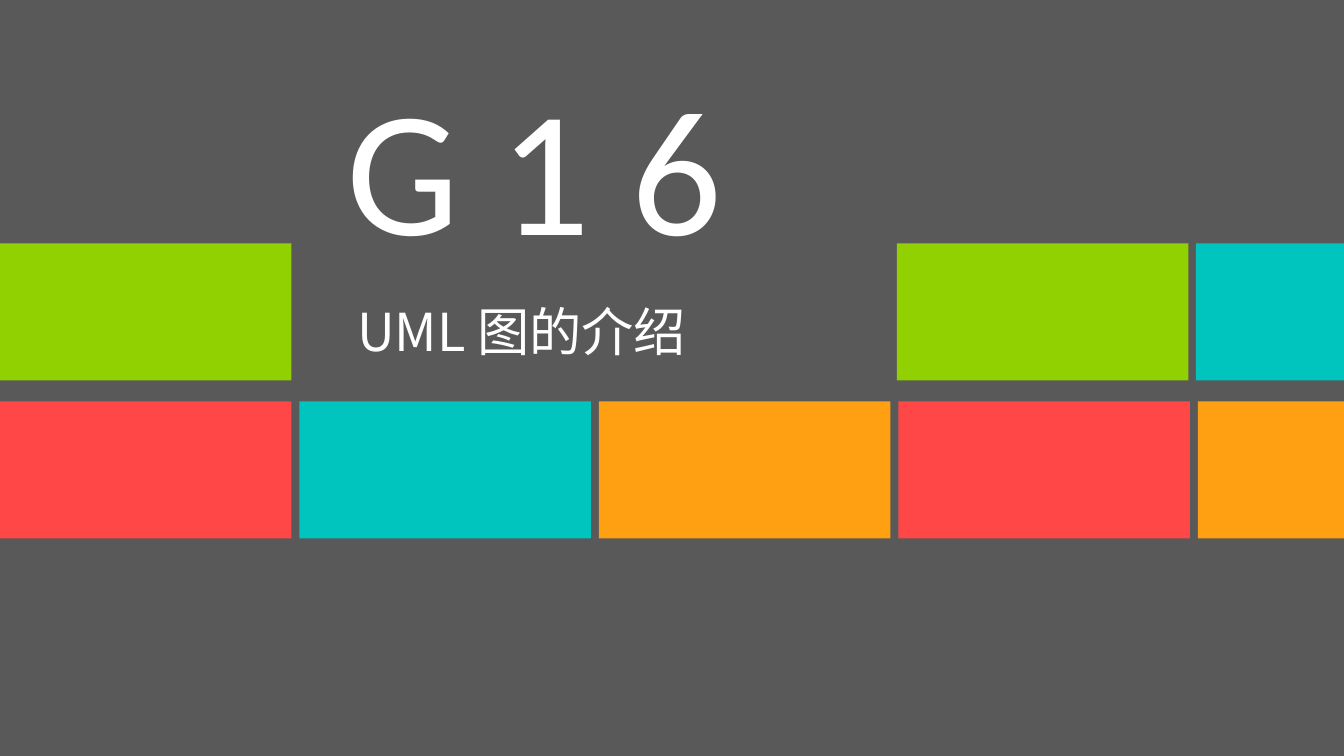
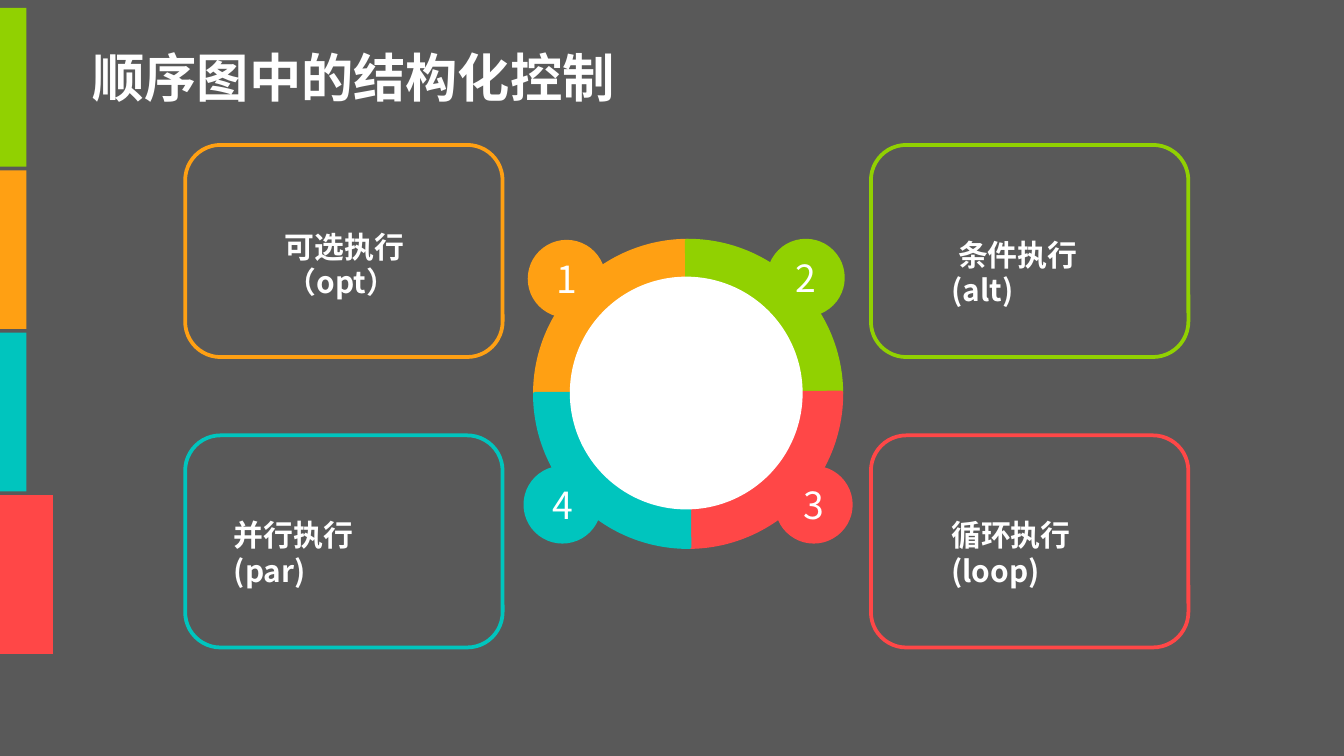
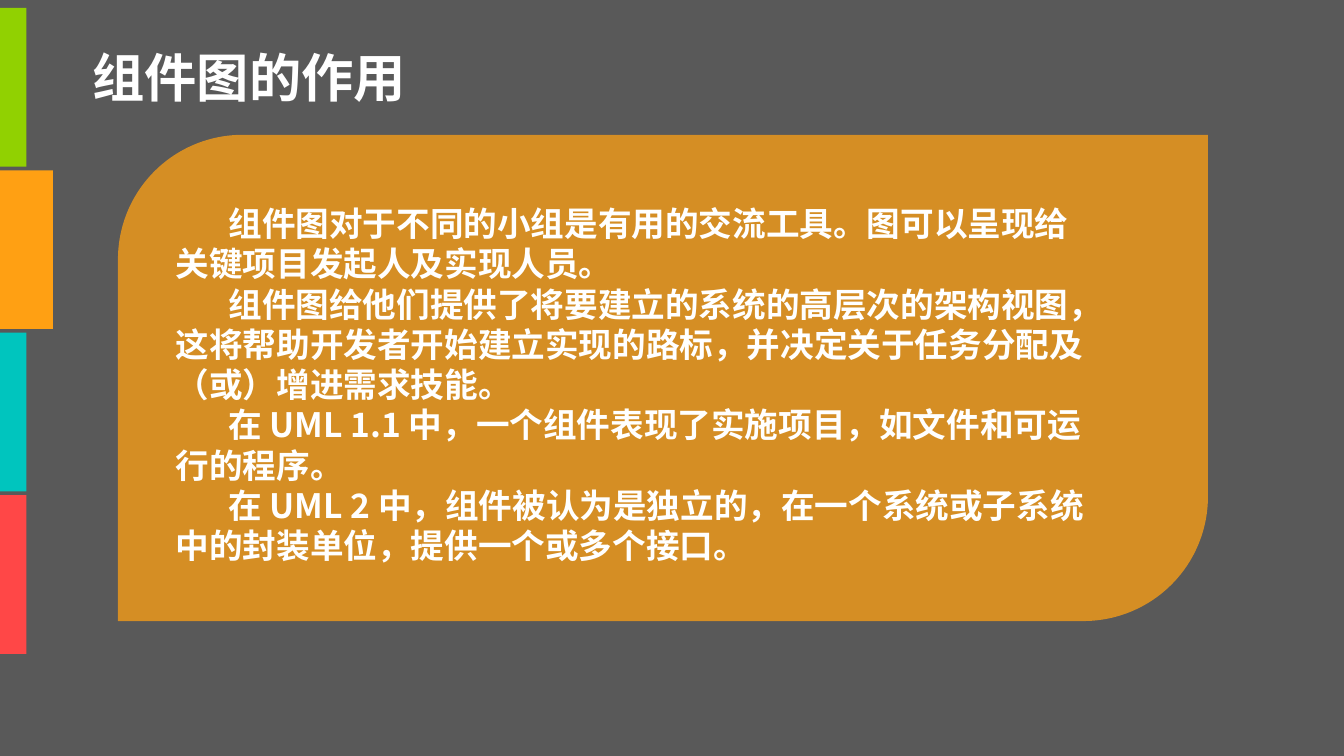
from dataclasses import dataclass

from lxml import etree
from pptx import Presentation
from pptx import util as u
from pptx.dml.color import RGBColor
from pptx.enum import shapes, text
from pptx.oxml.ns import qn

# Content (places and lengths in cm)
COVER = {
    "heading": "G 1 6",
    "topic": "UML 图的介绍",
    # top, column pitch, {column: colour}
    "tile_rows": [
        (4.6, 5.65, {0: "green", 3: "green", 4: "teal"}),
        (7.59, 5.66, {0: "red", 1: "teal", 2: "orange", 3: "red", 4: "orange"}),
    ],
}
CONTROLS_TITLE = "顺序图中的结构化控制"
# colour, card column and row, knob place, label place, label lines
CONTROLS = [
    ("orange", (0, 0), (10.01, 4.57), (3.91, 4.19), (" 可选执行", "（opt）")),
    ("green", (1, 0), (14.53, 4.55), (17.73, 4.34), (" 条件执行", "(alt)")),
    ("red", (1, 1), (14.68, 8.84), (17.73, 9.65), ("循环执行", "(loop)")),
    ("teal", (0, 1), (9.93, 8.84), (4.17, 9.65), ("并行执行", "(par)")),
]
PURPOSE_TITLE = "组件图的作用"
PURPOSES = [
    "组件图对于不同的小组是有用的交流工具。图可以呈现给关键项目发起人及实现人员。",
    "组件图给他们提供了将要建立的系统的高层次的架构视图，这将帮助开发者开始建立实现的路标，并决定关于任务分配及（或）增进需求技能。",
    "在 UML 1.1 中，一个组件表现了实施项目，如文件和可运行的程序。",
    "在 UML 2 中，组件被认为是独立的，在一个系统或子系统中的封装单位，提供一个或多个接口。",
]
TABS = ["green", "orange", "teal", "red"]
SLIDE_W, SLIDE_H = 25.4, 14.29


@dataclass(frozen=True)
class Theme:
    ground: str = "595959"
    white: str = "FFFFFF"
    green: str = "91D101"
    orange: str = "FFA013"
    teal: str = "00C5BE"
    red: str = "FF4747"
    font: str = "Noto Sans CJK SC"
    cover_font: str = "Calibri"
    cover_size: int = 96
    title_size: int = 28
    knob_size: int = 20
    body_size: int = 18
    label_size: int = 16
    line: int = 2

    def colour(self, name):
        return RGBColor.from_string(getattr(self, name))


THEME = Theme()
KIND = shapes.MSO_SHAPE


def place(*lengths):
    return [u.Cm(length) for length in lengths]


def add_part(parts, kind, box, fill=None, line=None):
    part = parts.add_shape(kind, *place(*box))
    part.shadow.inherit = False
    if fill:
        part.fill.solid()
        part.fill.fore_color.rgb = THEME.colour(fill)
    else:
        part.fill.background()
    if line:
        part.line.color.rgb = THEME.colour(line)
        part.line.width = u.Pt(THEME.line)
    else:
        part.line.fill.background()
    return part


def style(paragraph, size, bold=False, font=THEME.font):
    for run in paragraph.runs:
        run.font.size = u.Pt(size)
        run.font.bold = bold
        run.font.color.rgb = THEME.colour("white")
        run.font.name = font
        east_asian = etree.SubElement(run.font._element, qn("a:ea"))
        east_asian.set("typeface", font)


def add_text(slide, box, paragraphs, size, bold=False, font=THEME.font,
             wrap=True, align=None, indent=0):
    frame = slide.shapes.add_textbox(*place(*box)).text_frame
    frame.word_wrap = wrap
    frame.text = "\n".join(paragraphs)
    for paragraph in frame.paragraphs:
        if align is not None:
            paragraph.alignment = align
        if indent:
            paragraph._p.get_or_add_pPr().set("indent", str(u.Cm(indent)))
        style(paragraph, size, bold, font)


def new_slide(deck):
    return deck.slides.add_slide(deck.slide_layouts[6])


def add_frame(slide, title, title_width, active):
    """Side tabs, with the active one wider, and the slide title."""
    for i, name in enumerate(TABS):
        width = 1 if name == active else 0.5
        add_part(slide.shapes, KIND.RECTANGLE, (0, 0.15 + 3.07 * i, width, 3), name)
    add_text(slide, (1.5, 0.74, title_width, 1.45), [title],
             THEME.title_size, bold=True, wrap=False)


def build_cover(deck):
    slide = new_slide(deck)
    for top, pitch, tiles in COVER["tile_rows"]:
        for column, name in tiles.items():
            left = column * pitch
            width = min(5.51, SLIDE_W - left)
            add_part(slide.shapes, KIND.RECTANGLE, (left, top, width, 2.59), name)
    add_text(slide, (6.3, 0.94, 10.57, 4.37), [COVER["heading"]],
             THEME.cover_size, font=THEME.cover_font)
    add_text(slide, (6.5, 5.54, 10.21, 1.45), [COVER["topic"]], THEME.title_size)


def build_controls(deck):
    slide = new_slide(deck)
    add_frame(slide, CONTROLS_TITLE, 10.49, "red")

    # Ring of four quarters around a white hub
    ring = slide.shapes.add_group_shape()
    for i, (name, *_) in enumerate(CONTROLS):
        quarter = add_part(ring.shapes, KIND.PIE, (10.11, 4.55, 5.79, 5.79), name, name)
        quarter.adjustments[0] = 107.69
        quarter.adjustments[1] = 162
        quarter.rotation = 90 * i
    add_part(slide.shapes, KIND.OVAL, (10.77, 5.23, 4.4, 4.4), "white")

    # Numbered knobs, cards and labels
    for number, (name, (column, row), knob_at, label_at, lines) in enumerate(CONTROLS, 1):
        knob = add_part(slide.shapes, KIND.OVAL, (*knob_at, 1.4, 1.4), name, name)
        knob.text_frame.text = str(number)
        knob.text_frame.vertical_anchor = text.MSO_ANCHOR.MIDDLE
        digit = knob.text_frame.paragraphs[0]
        digit.alignment = text.PP_ALIGN.CENTER
        style(digit, THEME.knob_size)

        card = (3.5 + 12.96 * column, 2.74 + 5.49 * row, 6, 4.01)
        add_part(slide.shapes, KIND.ROUNDED_RECTANGLE, card, line=name)
        centred = number == 1
        add_text(slide, (*label_at, 5.08 if centred else 4.3, 0.94), ["\v".join(lines)],
                 THEME.label_size, bold=True,
                 align=text.PP_ALIGN.CENTER if centred else None)


def build_purpose(deck):
    slide = new_slide(deck)
    panel = add_part(slide.shapes, KIND.ROUND_2_DIAG_RECTANGLE,
                     (2.23, 2.55, 20.6, 9.19), "orange")
    panel.adjustments[0] = 0.256
    panel.adjustments[1] = 0
    paint = panel._element.spPr.find(qn("a:solidFill"))[0]
    etree.SubElement(paint, qn("a:alpha")).set("val", "75000")

    add_frame(slide, PURPOSE_TITLE, 6.5, "orange")
    add_text(slide, (3.07, 3.71, 17.7, 7.95), PURPOSES, THEME.body_size,
             bold=True, indent=1)


def main():
    deck = Presentation()
    deck.slide_width, deck.slide_height = place(SLIDE_W, SLIDE_H)
    ground = deck.slide_master.background.fill
    ground.solid()
    ground.fore_color.rgb = THEME.colour("ground")
    build_cover(deck)
    build_controls(deck)
    build_purpose(deck)
    deck.save("out.pptx")


if __name__ == "__main__":
    main()
